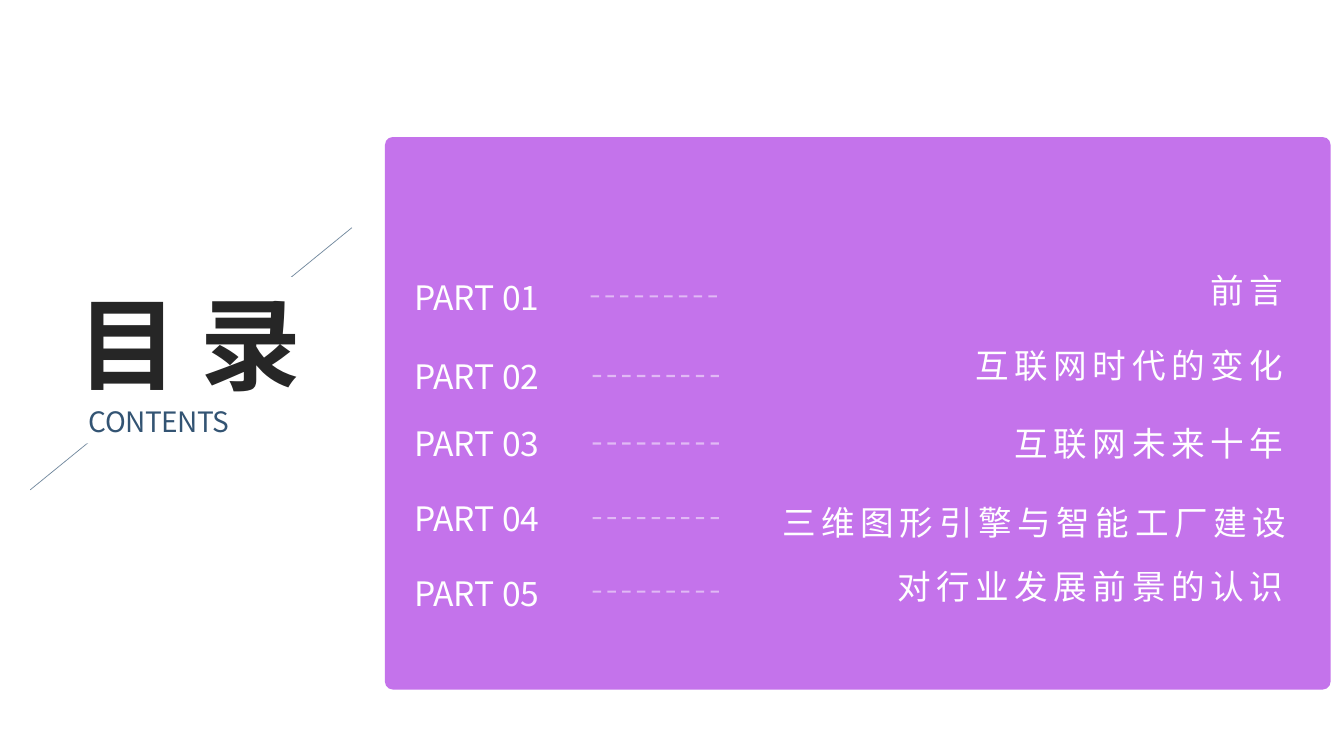
from lxml import etree
from pptx import Presentation
from pptx.dml.color import RGBColor
from pptx.enum.dml import MSO_LINE
from pptx.enum.shapes import MSO_CONNECTOR, MSO_SHAPE
from pptx.enum.text import MSO_ANCHOR, MSO_AUTO_SIZE, PP_ALIGN
from pptx.oxml.ns import qn
from pptx.util import Pt

RECT, ROUNDED = MSO_SHAPE.RECTANGLE, MSO_SHAPE.ROUNDED_RECTANGLE
STRAIGHT, DASH = MSO_CONNECTOR.STRAIGHT, MSO_LINE.DASH
TOP, MIDDLE = MSO_ANCHOR.TOP, MSO_ANCHOR.MIDDLE
LEFT, RIGHT = PP_ALIGN.LEFT, PP_ALIGN.RIGHT
GROW = MSO_AUTO_SIZE.SHAPE_TO_FIT_TEXT

WHITE, INK, NAVY, PURPLE = "FFFFFF", "262626", "335473", "C473EB"

# Title, its right edge, then tops of label and title, then dash start and height
PARTS = [
    ("前言", 923.8, 194.4, 189.4, 421.9, 211.7),
    ("互联网时代的变化", 923.8, 250.6, 242.6, 423.4, 268.6),
    ("互联网未来十年", 923.8, 298.8, 298.8, 423.4, 316.8),
    ("三维图形引擎与智能工厂建设", 925.9, 352.1, 355, 423.4, 370.1),
    ("对行业发展前景的认识", 923.8, 405.4, 400.3, 423.4, 422.6),
]
LABEL_LEFT, LABEL_WIDTH = 288.7, 185
TITLE_WIDTH, ROW_HEIGHT, DASH_WIDTH = 405, 36, 90.5


def rgb(color):
    return RGBColor.from_string(color)


class Deck:
    font = "Noto Sans CJK JP"

    def __init__(self, width, height):
        self.prs = Presentation()
        self.prs.slide_width, self.prs.slide_height = Pt(width), Pt(height)
        self.s = self.prs.slides.add_slide(self.prs.slide_layouts[6])

    def shape(self, kind, x, y, w, h, fill):
        sp = self.s.shapes.add_shape(kind, Pt(x), Pt(y), Pt(w), Pt(h))
        sp.shadow.inherit = False
        sp.fill.solid()
        sp.fill.fore_color.rgb = rgb(fill)
        sp.line.fill.background()
        return sp

    def text(self, text, x, y, w, h, size, color=WHITE, fill=None, bold=False,
             spacing=0, align=LEFT, anchor=TOP):
        """Add text, on a filled rectangle if a fill is given."""
        if fill:
            sp = self.shape(RECT, x, y, w, h, fill)
        else:
            sp = self.s.shapes.add_textbox(Pt(x), Pt(y), Pt(w), Pt(h))
        tf = sp.text_frame
        tf.text = text
        tf.word_wrap = True
        tf.auto_size = GROW
        tf.vertical_anchor = anchor
        p = tf.paragraphs[0]
        p.alignment = align
        font = p.runs[0].font
        font.name, font.size, font.bold = self.font, Pt(size), bold
        font.color.rgb = rgb(color)
        rPr = p.runs[0]._r.get_or_add_rPr()
        rPr.set("spc", str(round(spacing * 100)))
        etree.SubElement(rPr, qn("a:ea"), typeface=self.font)

    def line(self, x1, y1, x2, y2, color, width, opacity, dash=None):
        c = self.s.shapes.add_connector(STRAIGHT, Pt(x1), Pt(y1), Pt(x2), Pt(y2))
        c.line.color.rgb = rgb(color)
        c.line.width = Pt(width)
        if dash:
            c.line.dash_style = dash
        spPr = c._element.spPr
        clr = spPr.find(".//" + qn("a:srgbClr"))
        etree.SubElement(clr, qn("a:alpha"), val=str(opacity * 1000))
        etree.SubElement(spPr, qn("a:effectLst"))


def main():
    deck = Deck(960, 540)
    deck.line(251.3, 162.7, 21.6, 349.9, NAVY, 0.5, 70)
    deck.text("目录", 48.2, 198, 253.4, 94.3, 72, INK, WHITE, bold=True, spacing=16)
    deck.text("CONTENTS", 56.2, 285.1, 163.4, 31.7, 20, NAVY, WHITE, spacing=-0.4)

    panel = deck.shape(ROUNDED, 275, 97.9, 675.4, 394.6, PURPLE)
    panel.adjustments[0] = 0.014

    for n, (title, right, label_y, title_y, dash_x, dash_y) in enumerate(PARTS, 1):
        deck.text(title, right - TITLE_WIDTH, title_y, TITLE_WIDTH, ROW_HEIGHT, 24,
                  spacing=4, align=RIGHT, anchor=MIDDLE)
        deck.text(f"PART {n:02}", LABEL_LEFT, label_y, LABEL_WIDTH, ROW_HEIGHT, 24)
        deck.line(dash_x, dash_y, dash_x + DASH_WIDTH, dash_y, WHITE, 1.5, 50, DASH)

    deck.prs.save("out.pptx")


if __name__ == "__main__":
    main()
